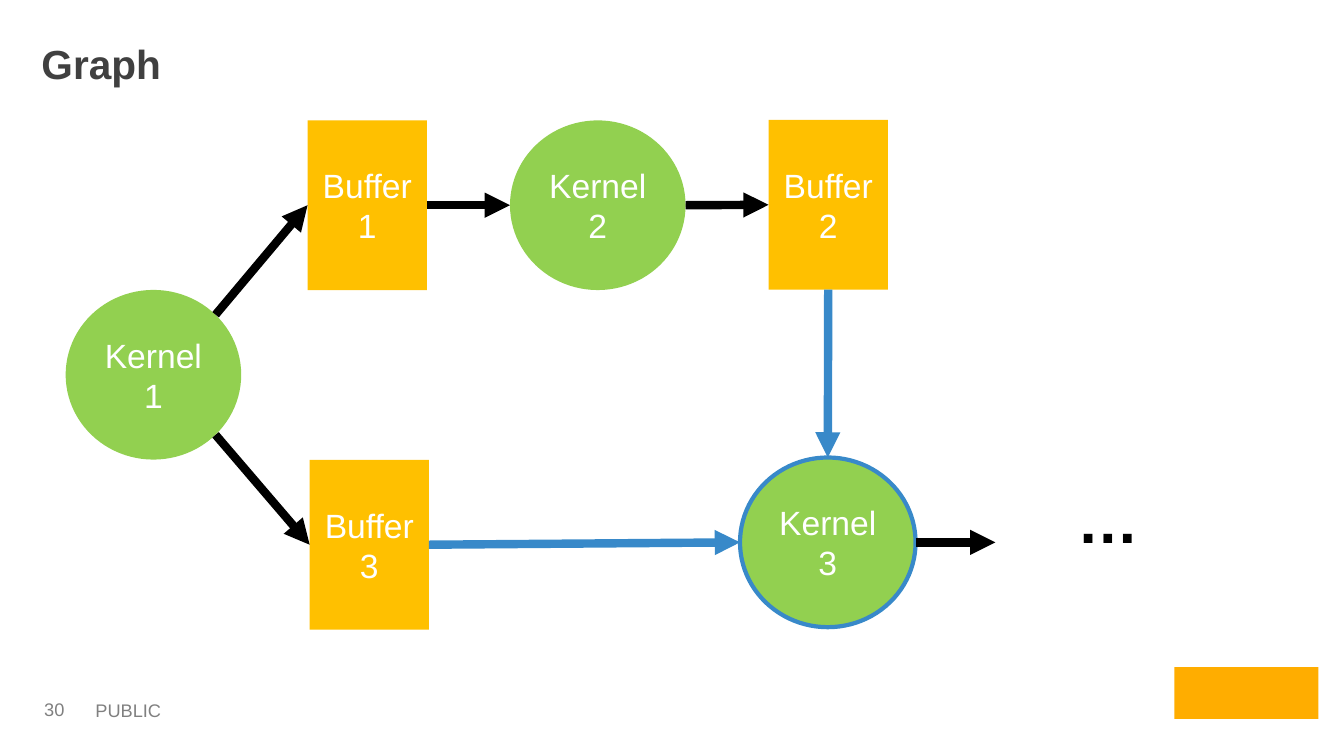
import pptx
import pptx.dml.color
import pptx.enum.shapes
import pptx.enum.text
import pptx.oxml
import pptx.oxml.ns
import pptx.util

Pt = pptx.util.Pt
SHAPES = pptx.enum.shapes.MSO_SHAPE
ANCHOR = pptx.enum.text.MSO_ANCHOR
ALIGN = pptx.enum.text.PP_ALIGN

GREEN, AMBER, BLUE, BLACK = "92D050", "FFC000", "3889C9", "000000"
KERNEL_WIDTH, BUFFER_WIDTH, NODE_HEIGHT = 125.4, 85.2, 121.2
KERNELS = {"Kernel 1": (46.9, 207.1), "Kernel 2": (364.3, 86), "Kernel 3": (528.6, 326.8)}
BUFFERS = {"Buffer 1": (219.7, 86), "Buffer 2": (549, 85.7), "Buffer 3": (221.2, 328.5)}
SIDES = {
    "left": (0, 0.5),
    "right": (1, 0.5),
    "top": (0.5, 0),
    "bottom": (0.5, 1),
    "upper right": (0.854, 0.146),
    "lower right": (0.854, 0.854),
}
EDGES = [
    ("Kernel 1", "upper right", "Buffer 1", "left", BLACK),
    ("Kernel 1", "lower right", "Buffer 3", "left", BLACK),
    ("Buffer 1", "right", "Kernel 2", "left", BLACK),
    ("Kernel 2", "right", "Buffer 2", "left", BLACK),
    ("Buffer 2", "bottom", "Kernel 3", "top", BLUE),
    ("Buffer 3", "right", "Kernel 3", "left", BLUE),
]


def color(value):
    """Turn a hex string into a colour."""
    return pptx.dml.color.RGBColor.from_string(value)


def write(shape, text, size, ink, bold=False, align=ALIGN.LEFT, anchor=ANCHOR.TOP):
    """Put one formatted paragraph into a shape."""
    frame = shape.text_frame
    frame.word_wrap = True
    frame.vertical_anchor = anchor
    frame.text = text
    para = frame.paragraphs[0]
    para.alignment = align
    para.font.name = "Arial"
    para.font.size = Pt(size)
    para.font.bold = bold
    para.font.color.rgb = color(ink)
    return frame


def add_label(page, box, text, size, ink, **style):
    """Add a text box at the given box."""
    label = page.shapes.add_textbox(*map(Pt, box))
    return write(label, text, size, ink, **style)


def add_block(page, kind, box, fill):
    """Add a flat shape without an outline."""
    block = page.shapes.add_shape(kind, *map(Pt, box))
    block.shadow.inherit = False
    block.fill.solid()
    block.fill.fore_color.rgb = color(fill)
    block.line.fill.background()
    return block


def add_node(page, kind, box, fill, name):
    """Add a graph node with its centred name."""
    node = add_block(page, kind, box, fill)
    write(node, name, 24, "FFFFFF", align=ALIGN.CENTER, anchor=ANCHOR.MIDDLE)
    return node


def add_arrow(page, start, end, ink):
    """Add a thick arrow between two points."""
    arrow = page.shapes.add_connector(
        pptx.enum.shapes.MSO_CONNECTOR.STRAIGHT, *map(Pt, (*start, *end))
    )
    arrow.line.width = Pt(6)
    arrow.line.color.rgb = color(ink)
    head = pptx.oxml.parse_xml(f'<a:tailEnd {pptx.oxml.ns.nsdecls("a")} type="triangle"/>')
    arrow.line._get_or_add_ln().append(head)
    effects = pptx.oxml.parse_xml(f'<a:effectLst {pptx.oxml.ns.nsdecls("a")}/>')
    arrow._element.spPr.append(effects)


def port(box, side):
    """Find the point on a node where an arrow meets it."""
    left, top, width, height = box
    across, down = SIDES[side]
    return left + across * width, top + down * height


def add_title(page, box):
    """Fill and place the title placeholder."""
    title = page.shapes.title
    title.left, title.top, title.width, title.height = map(Pt, box)
    frame = write(title, "Graph", 29, "404040", bold=True)
    frame.margin_left = frame.margin_top = Pt(5.8)


def add_graph(page, left, top):
    """Draw kernels, buffers and the arrows between them."""
    boxes = {}
    groups = [
        (BUFFERS, SHAPES.RECTANGLE, BUFFER_WIDTH, AMBER),
        (KERNELS, SHAPES.OVAL, KERNEL_WIDTH, GREEN),
    ]
    for places, kind, width, fill in groups:
        for name, (across, down) in places.items():
            boxes[name] = (left + across, top + down, width, NODE_HEIGHT)
            node = add_node(page, kind, boxes[name], fill, name)
    node.line.color.rgb = color(BLUE)
    node.line.width = Pt(3)

    for source, source_side, target, target_side, ink in EDGES:
        start = port(boxes[source], source_side)
        end = port(boxes[target], target_side)
        add_arrow(page, start, end, ink)

    exit_left, exit_top = port(boxes["Kernel 3"], "right")
    add_arrow(page, (exit_left, exit_top), (exit_left + 57, exit_top), BLACK)
    add_label(page, (exit_left + 108.5, exit_top - 46.8, 54, 49), "…", 44, BLACK, bold=True)


def add_footer(page, left, top):
    """Add the page number, the marking and a plain corner block."""
    number = add_label(page, (left, top, 46.8, 21.6), "30", 13, "808080", anchor=ANCHOR.MIDDLE)
    number.margin_left = number.margin_right = Pt(5)
    number.margin_top = number.margin_bottom = Pt(2.9)
    add_label(page, (left + 34.5, top, 286.6, 24.5), "PUBLIC", 13, "808080")
    add_block(page, SHAPES.RECTANGLE, (left + 812.2, top - 19.5, 103, 37), "FFAD00")


def main():
    """Build and save the slide."""
    deck = pptx.Presentation()
    deck.slide_width, deck.slide_height = Pt(960), Pt(540)
    page = deck.slides.add_slide(deck.slide_layouts[5])
    add_title(page, (23.8, 22.3, 918, 51.8))
    add_graph(page, 0, 0)
    add_footer(page, 26.6, 496.1)
    deck.save("out.pptx")


if __name__ == "__main__":
    main()
